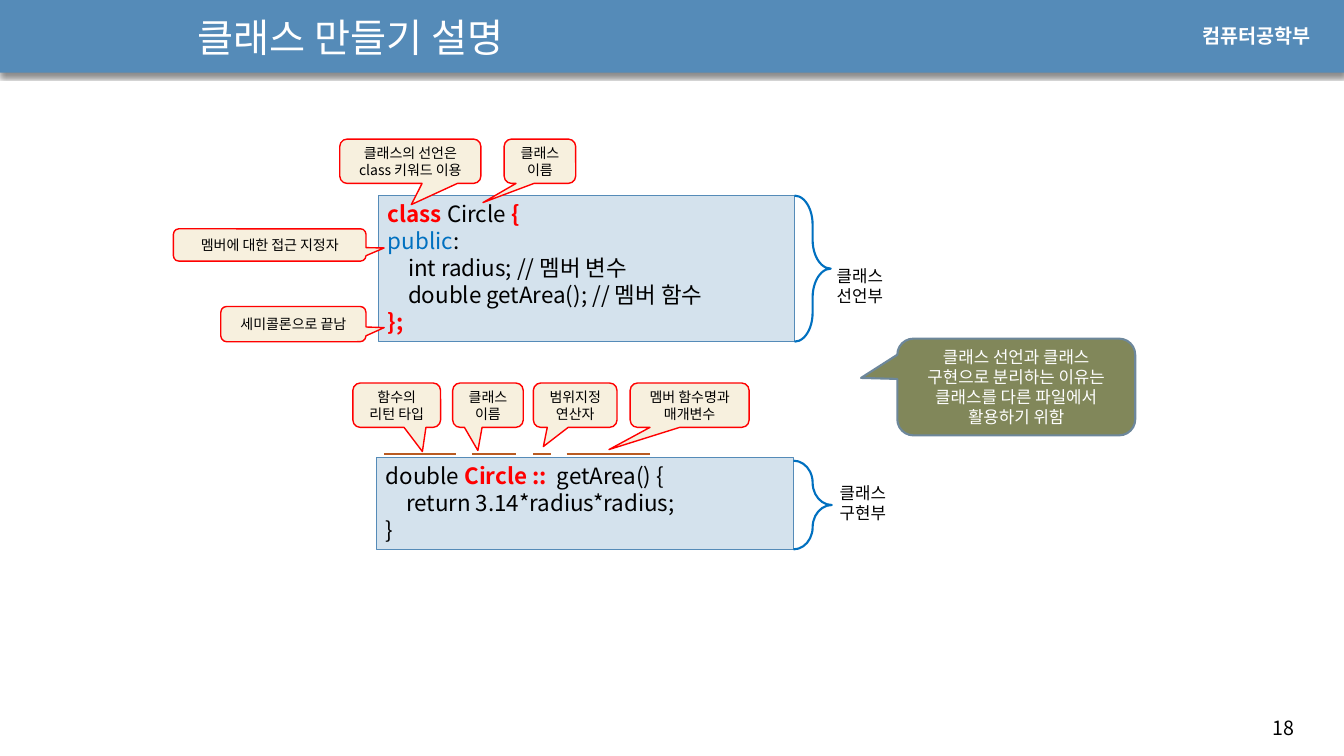
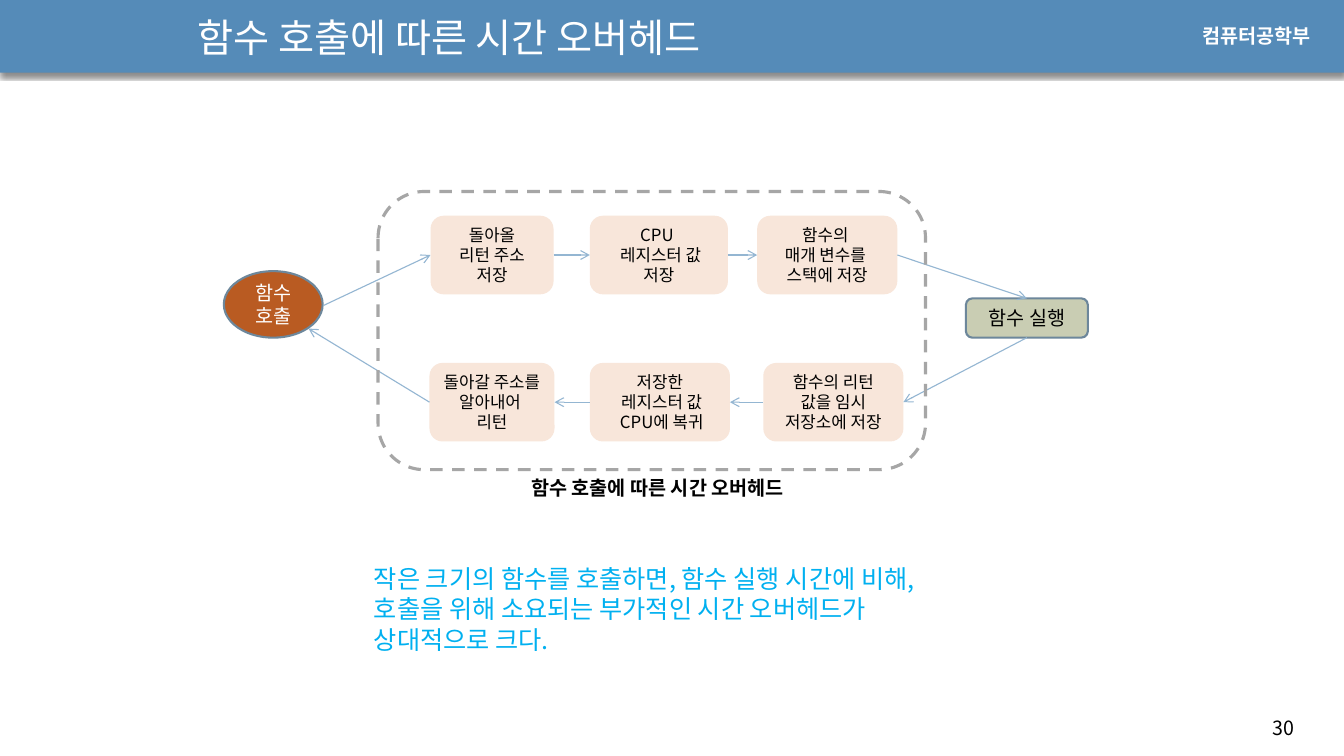
from lxml import etree
from pptx import Presentation
from pptx.dml.color import RGBColor
from pptx.enum import dml, shapes, text
from pptx.oxml import ns
from pptx.util import Inches, Pt

FONT = "Noto Sans CJK KR"
BLACK = RGBColor(0x00, 0x00, 0x00)
WHITE = RGBColor(0xFF, 0xFF, 0xFF)
RED = RGBColor(0xFF, 0x00, 0x00)
BLUE = RGBColor(0x00, 0x70, 0xC0)
SKY = RGBColor(0x00, 0xB0, 0xF0)
BAND = RGBColor(0x55, 0x8B, 0xB8)
CODE_FILL = RGBColor(0xD4, 0xE2, 0xED)
CREAM = RGBColor(0xF7, 0xF0, 0xDE)
OLIVE = RGBColor(0x81, 0x87, 0x5A)
SAGE = RGBColor(0xC9, 0xCD, 0xB3)
PEACH = RGBColor(0xF8, 0xE6, 0xDA)
RUST = RGBColor(0xB9, 0x5B, 0x22)
SLATE = RGBColor(0x6D, 0x87, 0x9B)
ARROW = RGBColor(0x94, 0xB6, 0xD2)
GREY = RGBColor(0xA6, 0xA6, 0xA6)

SHAPE = shapes.MSO_SHAPE
LEFT, CENTER = text.PP_ALIGN.LEFT, text.PP_ALIGN.CENTER
TOP, MIDDLE = text.MSO_ANCHOR.TOP, text.MSO_ANCHOR.MIDDLE
CODE_INDENT = Inches(0.2)
LINE_PITCH = 1.2


class Deck:
    def __init__(self):
        self.presentation = Presentation()
        self.presentation.slide_width = Inches(13.33)
        self.presentation.slide_height = Inches(7.5)
        self.slide = None

    def new_slide(self, title, number):
        layout = self.presentation.slide_layouts[6]
        self.slide = self.presentation.slides.add_slide(layout)
        band = self.shape(SHAPE.RECTANGLE, (0, -0.01, 13.33, 0.73), BAND)
        self.add_shadow(band)
        self.label((12.52, 7.05, 0.71, 0.34), [str(number)], 14)
        self.label((11.83, 0.19, 1.37, 0.34), ["컴퓨터공학부"], 14, WHITE,
                   bold=True, font="Arial")
        self.label((1.86, 0.05, 7.4, 0.63), [title], 28, WHITE, anchor=MIDDLE)

    def add_shadow(self, shape):
        effects = shape._element.spPr.find(ns.qn("a:effectLst"))
        shadow = etree.SubElement(effects, ns.qn("a:outerShdw"), blurRad=str(Pt(3)),
                                  dist=str(Pt(2.4)), dir="5400000", rotWithShape="0")
        color = etree.SubElement(shadow, ns.qn("a:srgbClr"), val="000000")
        etree.SubElement(color, ns.qn("a:alpha"), val="45000")

    def set_text(self, shape, paragraphs, size, color=BLACK, bold=False,
                 align=LEFT, anchor=TOP, font=FONT):
        """Each paragraph is a string or a list of (text, color, bold) runs."""
        frame = shape.text_frame
        frame.word_wrap = True
        frame.vertical_anchor = anchor
        for index, content in enumerate(paragraphs):
            paragraph = frame.add_paragraph() if index else frame.paragraphs[0]
            paragraph.alignment = align
            paragraph.line_spacing = Pt(size * LINE_PITCH)
            paragraph.font.name = font
            paragraph.font.size = Pt(size)
            paragraph.font.bold = bold
            paragraph.font.color.rgb = color
            if isinstance(content, str):
                paragraph.add_run().text = content
                continue
            for run_text, run_color, run_bold in content:
                run = paragraph.add_run()
                run.text = run_text
                run.font.color.rgb = run_color
                run.font.bold = run_bold

    def label(self, box, paragraphs, size, color=BLACK, **style):
        shape = self.slide.shapes.add_textbox(*map(Inches, box))
        self.set_text(shape, paragraphs, size, color, **style)

    def shape(self, kind, box, fill=None, line=None, width=1.5):
        shape = self.slide.shapes.add_shape(kind, *map(Inches, box))
        shape.shadow.inherit = False
        if fill is None:
            shape.fill.background()
        else:
            shape.fill.solid()
            shape.fill.fore_color.rgb = fill
        if line is None:
            shape.line.fill.background()
        else:
            shape.line.color.rgb = line
            shape.line.width = Pt(width)
        return shape

    def node(self, kind, box, paragraphs, size, fill, line=None, color=BLACK,
             anchor=MIDDLE):
        shape = self.shape(kind, box, fill, line)
        self.set_text(shape, paragraphs, size, color, align=CENTER, anchor=anchor)
        return shape

    def code(self, box, lines, indented):
        shape = self.shape(SHAPE.RECTANGLE, box, CODE_FILL, BAND, 0.75)
        self.set_text(shape, lines, 16)
        for index in indented:
            properties = shape.text_frame.paragraphs[index]._p.get_or_add_pPr()
            properties.set("marL", str(CODE_INDENT))

    def callout(self, box, tip, paragraphs, size=10, fill=CREAM, line=RED,
                width=1, color=BLACK):
        """A speech bubble whose tail ends at the point tip."""
        left, top, box_width, height = box
        shape = self.shape(SHAPE.ROUNDED_RECTANGULAR_CALLOUT, box, fill, line, width)
        shape.adjustments[0] = (tip[0] - left) / box_width - 0.5
        shape.adjustments[1] = (tip[1] - top) / height - 0.5
        self.set_text(shape, paragraphs, size, color, align=CENTER, anchor=MIDDLE)

    def brace(self, box, curve):
        shape = self.shape(SHAPE.RIGHT_BRACE, box, line=BLUE)
        shape.adjustments[0] = curve

    def line(self, start, end, color, width):
        connector = self.slide.shapes.add_connector(
            shapes.MSO_CONNECTOR.STRAIGHT, *map(Inches, (*start, *end)))
        connector.line.color.rgb = color
        connector.line.width = Pt(width)
        etree.SubElement(connector._element.spPr, ns.qn("a:effectLst"))
        return connector

    def arrow(self, start, end):
        """Each end is a point or a (shape, side) pair."""
        joined = [not isinstance(place[0], (int, float)) for place in (start, end)]
        connector = self.line((0, 0) if joined[0] else start,
                              (0, 0) if joined[1] else end, ARROW, 0.79)
        if joined[0]:
            connector.begin_connect(*start)
        if joined[1]:
            connector.end_connect(*end)
        outline = connector._element.spPr.find(ns.qn("a:ln"))
        etree.SubElement(outline, ns.qn("a:tailEnd"), type="arrow")


def class_slide(deck):
    deck.new_slide("클래스 만들기 설명", 18)

    # Class implementation
    deck.code((3.73, 4.54, 4.14, 0.91), [
        [("double ", BLACK, False), ("Circle ::  ", RED, True),
         ("getArea() {", BLACK, False)],
        "return 3.14*radius*radius;",
        "}"], indented=[1])
    for left, right in ((3.81, 4.52), (4.68, 5.12), (5.29, 5.47), (5.62, 6.45)):
        deck.line((left, 4.5), (right, 4.5), RUST, 1.5)
    for left, width, tip, words in (
            (3.5, 0.87, (4.19, 4.48), ["함수의 리턴 타입"]),
            (4.49, 0.7, (4.74, 4.47), ["클래스", "이름"]),
            (5.29, 0.83, (5.39, 4.43), ["범위지정연산자"]),
            (6.25, 1.18, (6.04, 4.46), ["멤버 함수명과 매개변수"])):
        deck.callout((left, 3.8, width, 0.44), tip, words)

    # Reason for the split
    deck.callout((8.9, 3.36, 2.36, 0.96), (8.54, 3.75),
                 ["클래스 선언과 클래스 구현으로 분리하는 이유는 클래스를 다른 파일에서 활용하기 위함"],
                 12, OLIVE, SLATE, 1.5, WHITE)

    # Class declaration
    deck.code((3.75, 1.94, 4.13, 1.45), [
        [("class", RED, True), (" Circle ", BLACK, False), ("{", RED, True)],
        [("public", BLUE, False), (":", BLACK, False)],
        "int radius; // 멤버 변수",
        "double getArea(); // 멤버 함수",
        [("};", RED, True)]], indented=[2, 3])
    for box, tip, words in (
            ((2.19, 3.04, 1.44, 0.35), (3.81, 3.25), "세미콜론으로 끝남"),
            ((3.37, 1.38, 1.4, 0.44), (4.08, 2.03), "클래스의 선언은 class 키워드 이용"),
            ((5, 1.38, 0.71, 0.44), (4.79, 2.01), "클래스 이름"),
            ((1.72, 2.27, 1.91, 0.32), (3.81, 2.46), "멤버에 대한 접근 지정자")):
        deck.callout(box, tip, [words])

    # Braces with their labels
    deck.brace((7.88, 1.94, 0.36, 1.45), 0.8)
    deck.brace((7.87, 4.57, 0.38, 0.88), 0.71)
    deck.label((8.2, 2.59, 0.71, 0.5), ["클래스", "선언부"], 12)
    deck.label((8.23, 4.74, 0.71, 0.5), ["클래스", "구현부"], 12)


def overhead_slide(deck):
    deck.new_slide("함수 호출에 따른 시간 오버헤드", 30)

    # Call and execution
    deck.node(SHAPE.OVAL, (2.22, 2.69, 0.98, 0.66), ["함수 호출"], 14, RUST, SLATE, WHITE)
    execution = deck.node(SHAPE.ROUNDED_RECTANGLE, (9.58, 2.96, 1.21, 0.39),
                          ["함수 실행"], 14, SAGE, SLATE)

    # Steps before and after execution
    def step_row(top, steps):
        return [deck.node(SHAPE.ROUNDED_RECTANGLE, (left, top, width, 0.78), words,
                          12, PEACH, anchor=TOP) for left, width, words in steps]

    before = step_row(2.14, (
        (4.27, 1.22, ["돌아올", "리턴 주소 저장"]),
        (5.85, 1.37, ["CPU ", " 레지스터 값", "저장"]),
        (7.51, 1.39, ["함수의 ", "매개 변수를 ", "스택에 저장"])))
    after = step_row(3.6, (
        (4.26, 1.24, ["돌아갈 주소를 알아내어 ", "리턴"]),
        (5.85, 1.39, ["저장한", " 레지스터 값", " CPU에 복귀"]),
        (7.57, 1.39, ["함수의 리턴 값을 임시 저장소에 저장"])))

    # Arrows around the loop
    deck.arrow((3.21, 3.03), (before[0], 1))
    for source, target in zip(before, before[1:]):
        deck.arrow((source, 3), (target, 1))
    deck.arrow((before[-1], 3), (execution, 0))
    deck.arrow((execution, 2), (after[-1], 3))
    for target, source in zip(after, after[1:]):
        deck.arrow((source, 1), (target, 3))
    deck.arrow((after[0], 1), (3.06, 3.26))

    # Overhead frame and conclusion
    frame = deck.shape(SHAPE.ROUNDED_RECTANGLE, (3.75, 1.9, 5.43, 2.76),
                       line=GREY, width=2.25)
    frame.line.dash_style = dml.MSO_LINE.DASH
    deck.label((5.17, 4.67, 3.03, 0.34), ["함수 호출에 따른 시간 오버헤드"], 14, bold=True)
    deck.label((3.61, 5.54, 6.22, 1.01),
               ["작은 크기의 함수를 호출하면, 함수 실행 시간에 비해, "
                "호출을 위해 소요되는 부가적인 시간 오버헤드가 상대적으로 크다."], 18, SKY)


def main():
    deck = Deck()
    class_slide(deck)
    overhead_slide(deck)
    deck.presentation.save("out.pptx")


if __name__ == "__main__":
    main()
